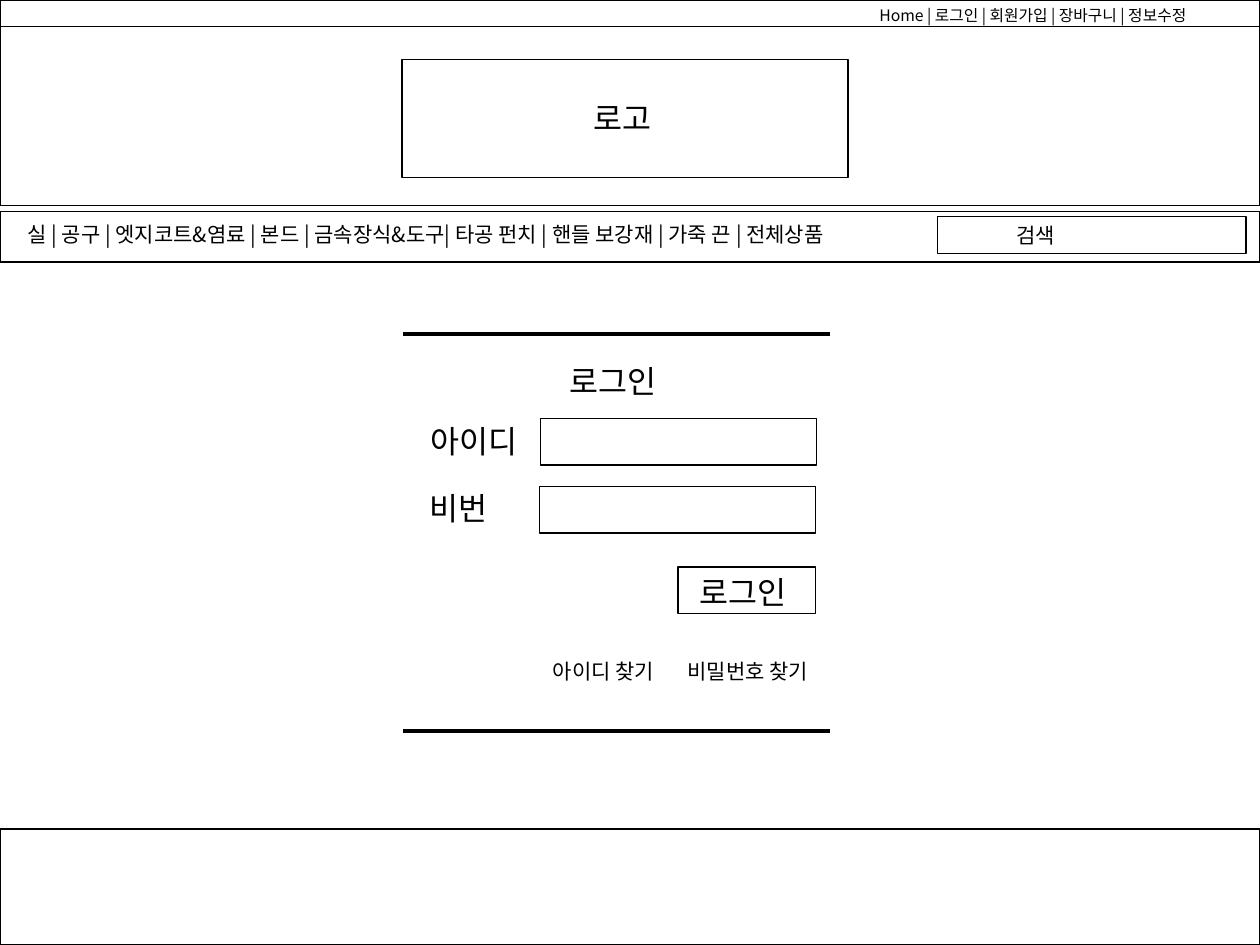
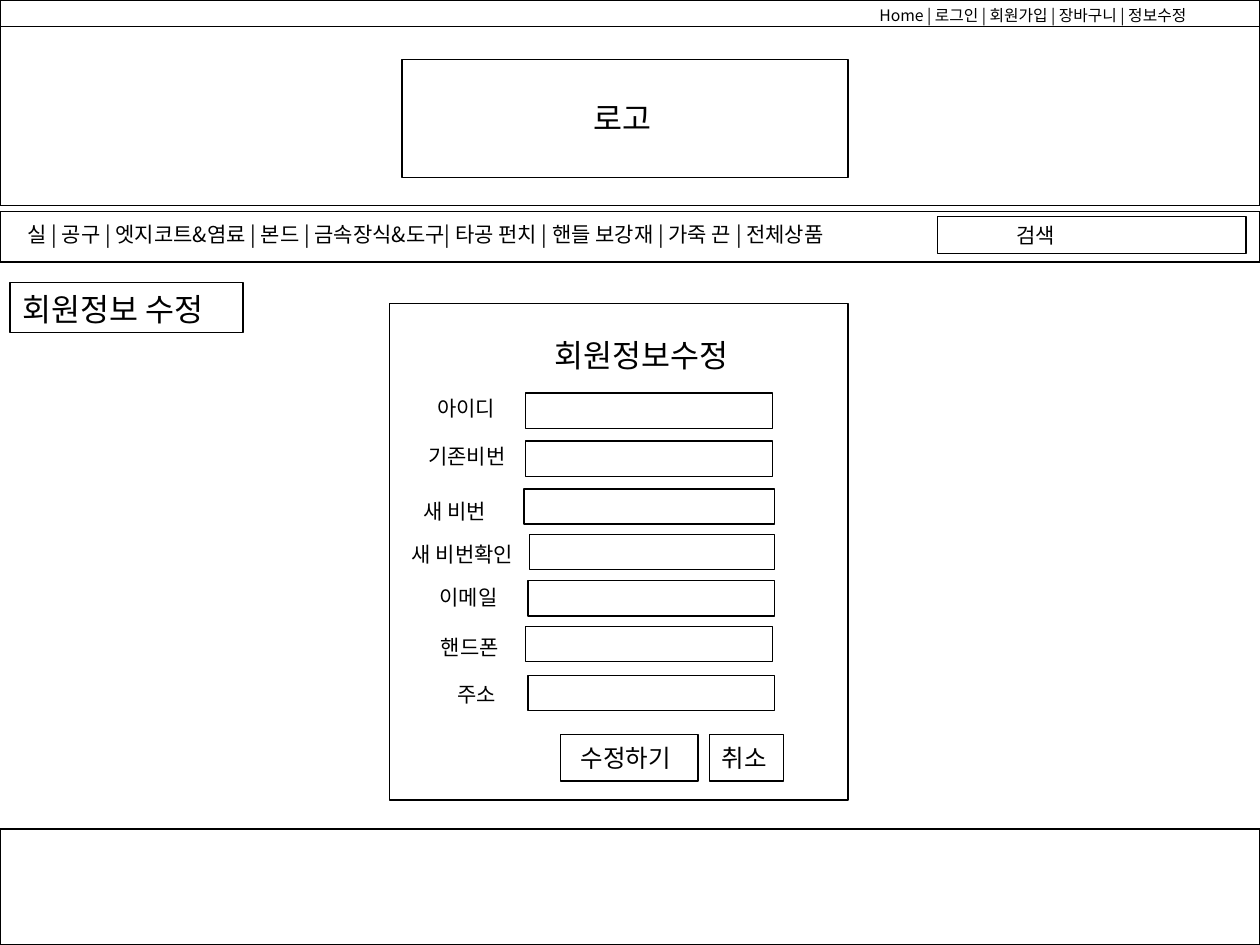
"""Build two shop page wireframes: the login form and the member edit form."""
from lxml.etree import SubElement
from pptx import Presentation
from pptx.dml.color import RGBColor as Rgb
from pptx.enum.shapes import MSO_CONNECTOR as Link, MSO_SHAPE as Form
from pptx.enum.text import MSO_ANCHOR as Anchor, MSO_AUTO_SIZE as Fit, PP_ALIGN as Align
from pptx.oxml.ns import qn
from pptx.util import Inches, Pt

FONT = "Noto Sans CJK KR"
COLORS = {"ink": "000000"}
INK = Rgb.from_string(COLORS["ink"])
TITLE_ONLY = 5
SIZES = {9: 0.56, 12: 0.3, 14: 0.34, 18: 0.4}
BARS = [(0, 0.21), (0.21, 1.42), (1.68, 0.4), (6.58, 0.92)]
TOP_MENU = ["로그인", "회원가입", "장바구니", "정보수정"]
GOODS = ["실", "공구", "엣지코트&염료", "본드", "금속장식&도구| 타공 펀치",
         "핸들 보강재", "가죽 끈", "전체상품"]
LOGIN = [("아이디", 3.32, 3.3, 0.96, 4.29, 3.32),
         ("비번", 3.31, 3.83, 0.71, 4.28, 3.86)]
MEMBER = [("아이디", 3.37, 3.09, 0.71, 4.17, 3.12, 1.96),
          ("기존비번", 3.3, 3.47, 0.88, 4.17, 3.5, 1.96),
          ("새 비번", 3.26, 3.91, 0.77, 4.16, 3.88, 1.99),
          ("새 비번확인", 3.17, 4.25, 1.1, 4.2, 4.24, 1.95),
          ("이메일", 3.39, 4.59, 0.71, 4.19, 4.61, 1.96),
          ("핸드폰", 3.4, 4.99, 0.71, 4.17, 4.97, 1.96),
          ("주소", 3.53, 5.36, 0.54, 4.19, 5.36, 1.96)]


def add_box(slide, x, y, w, h):
    """Draw an unfilled box with a thin line."""
    box = slide.shapes.add_shape(Form.RECTANGLE, Inches(x), Inches(y), Inches(w), Inches(h))
    box.shadow.inherit = False
    box.fill.background()
    box.line.color.rgb = INK
    box.line.width = Pt(0.75)


def add_rule(slide, x, y, end):
    """Draw a thick level line."""
    rule = slide.shapes.add_connector(Link.STRAIGHT, Inches(x), Inches(y), Inches(end), Inches(y))
    rule.line.color.rgb = INK
    rule.line.width = Pt(2.25)
    SubElement(rule._element.spPr, qn("a:effectLst"))


def set_text(shape, text, size, wrap=False):
    """Fill a shape with one line of text in the shared font."""
    frame = shape.text_frame
    frame.text = text
    frame.word_wrap = wrap
    frame.auto_size = Fit.SHAPE_TO_FIT_TEXT
    frame.vertical_anchor = Anchor.TOP
    line = frame.paragraphs[0]
    line.alignment = Align.LEFT
    for run in line.runs:
        run.font.size = Pt(size)
        run.font.color.rgb = INK
        run.font.name = FONT
        SubElement(run.font._element, qn("a:ea"), typeface=FONT)


def add_text(slide, text, x, y, w, size=12, wrap=False):
    """Place a text box whose height follows its type size."""
    box = slide.shapes.add_textbox(Inches(x), Inches(y), Inches(w), Inches(SIZES[size]))
    set_text(box, text, size, wrap)


def add_page(deck, title, x, y, w):
    """Start a page with its title and the shared shop frame."""
    slide = deck.slides.add_slide(deck.slide_layouts[TITLE_ONLY])
    head = slide.shapes.title
    head.left, head.top = Inches(x), Inches(y)
    head.width, head.height = Inches(w), Inches(SIZES[18])
    set_text(head, title, 18)
    for top, height in BARS:
        add_box(slide, 0, top, 10, height)
    add_box(slide, 3.19, 0.47, 3.54, 0.94)
    add_box(slide, 7.44, 1.72, 2.45, 0.29)
    add_text(slide, " | ".join(["Home"] + TOP_MENU), 6.88, 0, 2.91, 9)
    add_text(slide, "로고", 4.61, 0.74, 0.71, 18)
    add_text(slide, " | ".join(GOODS), 0.12, 1.71, 7.48, wrap=True)
    add_text(slide, "검색", 7.97, 1.72, 0.54)
    return slide


def add_login(deck):
    """Build the login page."""
    slide = add_page(deck, "로그인", 4.42, 2.82, 0.96)
    for y in (2.65, 5.8):
        add_rule(slide, 3.2, y, 6.59)
    for label, x, y, w, left, top in LOGIN:
        add_text(slide, label, x, y, w, 18)
        add_box(slide, left, top, 2.19, 0.37)
    add_box(slide, 5.38, 4.5, 1.09, 0.37)
    add_text(slide, "로그인", 5.45, 4.5, 0.96, 18)
    add_text(slide, "아이디 찾기", 4.29, 5.18, 1.1)
    add_text(slide, "비밀번호 찾기", 5.36, 5.18, 1.27)


def add_member(deck):
    """Build the member edit page."""
    slide = add_page(deck, "회원정보수정", 4.3, 2.62, 1.72)
    add_box(slide, 0.08, 2.24, 1.85, 0.4)
    add_text(slide, "회원정보 수정", 0.08, 2.25, 1.85, 18, wrap=True)
    add_box(slide, 3.09, 2.41, 3.64, 3.94)
    for label, x, y, w, left, top, width in MEMBER:
        add_text(slide, label, x, y, w)
        add_box(slide, left, top, width, 0.28)
    for label, x, w, left, width in [("수정하기", 4.51, 0.99, 4.45, 1.09),
                                     ("취소", 5.63, 0.59, 5.63, 0.59)]:
        add_box(slide, left, 5.83, width, 0.37)
        add_text(slide, label, x, 5.85, w, 14)


def main():
    """Build and save the deck."""
    deck = Presentation()
    deck.slide_width, deck.slide_height = Inches(10), Inches(7.5)
    add_login(deck)
    add_member(deck)
    deck.save("out.pptx")


main()
